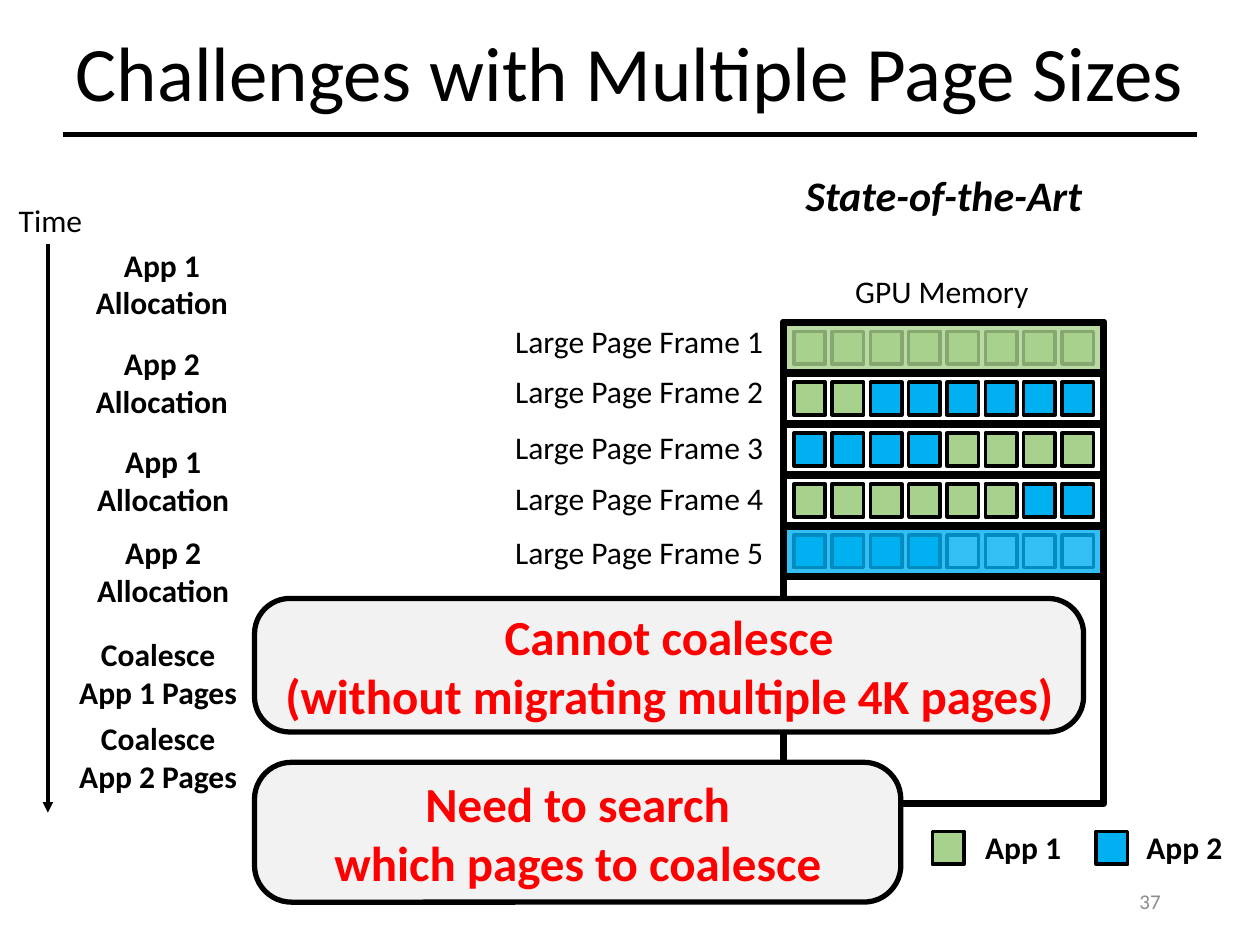
"""Build the slide on the challenges of coalescing multiple page sizes."""
from lxml import etree
from pptx import Presentation
from pptx.dml.color import RGBColor
from pptx.enum.shapes import MSO_CONNECTOR, MSO_SHAPE
from pptx.enum.text import MSO_ANCHOR, PP_ALIGN
from pptx.oxml.ns import qn
from pptx.util import Inches, Pt

LEFT, CENTER, RIGHT = PP_ALIGN.LEFT, PP_ALIGN.CENTER, PP_ALIGN.RIGHT
MIDDLE = MSO_ANCHOR.MIDDLE
RECTANGLE, ROUNDED = MSO_SHAPE.RECTANGLE, MSO_SHAPE.ROUNDED_RECTANGLE
STRAIGHT = MSO_CONNECTOR.STRAIGHT
BLACK = RGBColor(0x00, 0x00, 0x00)
WHITE = RGBColor(0xFF, 0xFF, 0xFF)
GRAY = RGBColor(0x8C, 0x8C, 0x8C)
PALE = RGBColor(0xF2, 0xF2, 0xF2)
RED = RGBColor(0xFF, 0x00, 0x00)
GREEN = RGBColor(0xA9, 0xD1, 0x8E)
BLUE = RGBColor(0x00, 0xB0, 0xF0)
PAGE_COLORS = {"1": GREEN, "2": BLUE, "-": WHITE}

presentation = Presentation()
presentation.slide_width, presentation.slide_height = Inches(10), Inches(7.5)
slide = presentation.slides.add_slide(presentation.slide_layouts[5])


def write(shape, text, size=18, color=BLACK, bold=False, italic=False, align=CENTER):
    """Fill a shape with text in one format."""
    shape.text_frame.text = text
    for paragraph in shape.text_frame.paragraphs:
        paragraph.alignment = align
        for run in paragraph.runs:
            run.font.name, run.font.size = "Calibri", Pt(size)
            run.font.bold, run.font.italic = bold, italic
            run.font.color.rgb = color


def add_box(left, top, width, height, fill, weight, kind=RECTANGLE):
    """Add an outlined shape, unfilled when fill is None."""
    box = slide.shapes.add_shape(kind, Inches(left), Inches(top), Inches(width), Inches(height))
    box.shadow.inherit = False
    box.line.color.rgb, box.line.width = BLACK, Pt(weight)
    if fill is None:
        box.fill.background()
    else:
        box.fill.solid()
        box.fill.fore_color.rgb = fill
    return box


title = slide.shapes.title
title.left, title.top, title.width, title.height = Inches(0.5), Inches(0.14), Inches(9), Inches(0.93)
write(title, "Challenges with Multiple Page Sizes", 44)
title.text_frame.margin_left = title.text_frame.margin_right = Inches(0.05)
title.text_frame.vertical_anchor = MIDDLE
title.text_frame.paragraphs[0].line_spacing = 0.9

title_rule = slide.shapes.add_connector(STRAIGHT, Inches(0.5), Inches(1.07), Inches(9.5), Inches(1.07))
time_arrow = slide.shapes.add_connector(STRAIGHT, Inches(0.38), Inches(1.94), Inches(0.38), Inches(6.45))
for connector, weight in ((title_rule, 3), (time_arrow, 2)):
    connector.line.color.rgb, connector.line.width = BLACK, Pt(weight)
    etree.SubElement(connector._element.spPr, qn("a:effectLst"))
etree.SubElement(time_arrow.line._get_or_add_ln(), qn("a:tailEnd"), type="triangle")

MEMORY_LEFT, MEMORY_TOP, MEMORY_WIDTH = 6.22, 2.56, 2.54
FRAME_HEIGHT, PAGE_PITCH = 0.4, 0.304
PAGE_WIDTH, PAGE_HEIGHT = 0.25, 0.26
FRAMES = [
    ("11111111", GREEN),
    ("11222222", None),
    ("22221111", None),
    ("11111122", None),
    ("2222----", BLUE),
]
add_box(MEMORY_LEFT, MEMORY_TOP, MEMORY_WIDTH, 3.82, None, 4)
for row, (pages, cover) in enumerate(FRAMES):
    top = MEMORY_TOP + row * 0.404
    add_box(MEMORY_LEFT, top, MEMORY_WIDTH, FRAME_HEIGHT, None, 4)
    for column, owner in enumerate(pages):
        add_box(MEMORY_LEFT + 0.08 + column * PAGE_PITCH, top + 0.07,
                PAGE_WIDTH, PAGE_HEIGHT, PAGE_COLORS[owner], 2)
    if cover is not None:
        overlay = add_box(MEMORY_LEFT, top, MEMORY_WIDTH, FRAME_HEIGHT, cover, 4)
        color_element = overlay._element.spPr.find(qn("a:solidFill"))[0]
        etree.SubElement(color_element, qn("a:alpha"), val="80000")

labels = [
    ("State-of-the-Art", 6.28, 1.3, 2.42, 0.5, {"size": 24, "bold": True, "italic": True}),
    ("Time", 0.05, 1.55, 0.71, 0.4, {"align": LEFT}),
    ("GPU Memory", 6.68, 2.11, 1.59, 0.4, {}),
    ("37", 7.06, 6.95, 2.25, 0.4, {"size": 12, "color": GRAY, "align": RIGHT}),
]
for number, top in enumerate((2.51, 2.9, 3.35, 3.75, 4.18), 1):
    labels.append((f"Large Page Frame {number}", 3.99, top, 2.19, 0.4, {"align": LEFT}))
for step, left, top in (
    ("App 1 Allocation", 0.49, 1.9),
    ("App 2 Allocation", 0.49, 2.68),
    ("App 1 Allocation", 0.5, 3.46),
    ("App 2 Allocation", 0.5, 4.18),
    ("Coalesce\nApp 1 Pages", 0.46, 4.99),
    ("Coalesce\nApp 2 Pages", 0.46, 5.66),
):
    labels.append((step, left, top, 1.59, 0.71, {"bold": True}))
for name, color, left, text_left in (("App 1", GREEN, 7.4, 7.72), ("App 2", BLUE, 8.7, 9)):
    add_box(left, 6.6, PAGE_WIDTH, PAGE_HEIGHT, color, 2)
    labels.append((name, text_left, 6.52, 0.98, 0.4, {"bold": True, "align": LEFT}))

for text, left, top, width, height, style in labels:
    label = slide.shapes.add_textbox(Inches(left), Inches(top), Inches(width), Inches(height))
    write(label, text, **style)
    label.text_frame.word_wrap = not text.startswith("Large")
    if text == "37":
        label.text_frame.vertical_anchor = MIDDLE

for text, top, width, height in (
    ("Cannot coalesce\n(without migrating multiple 4K pages)", 4.75, 6.58, 1.06),
    ("Need to search\nwhich pages to coalesce", 6.05, 5.13, 1.11),
):
    callout = add_box(2.02, top, width, height, PALE, 3, ROUNDED)
    callout.adjustments[0] = 0.264
    write(callout, text, 28, RED, bold=True)
    callout.text_frame.word_wrap = True
    callout.text_frame.vertical_anchor = MIDDLE

presentation.save("out.pptx")
